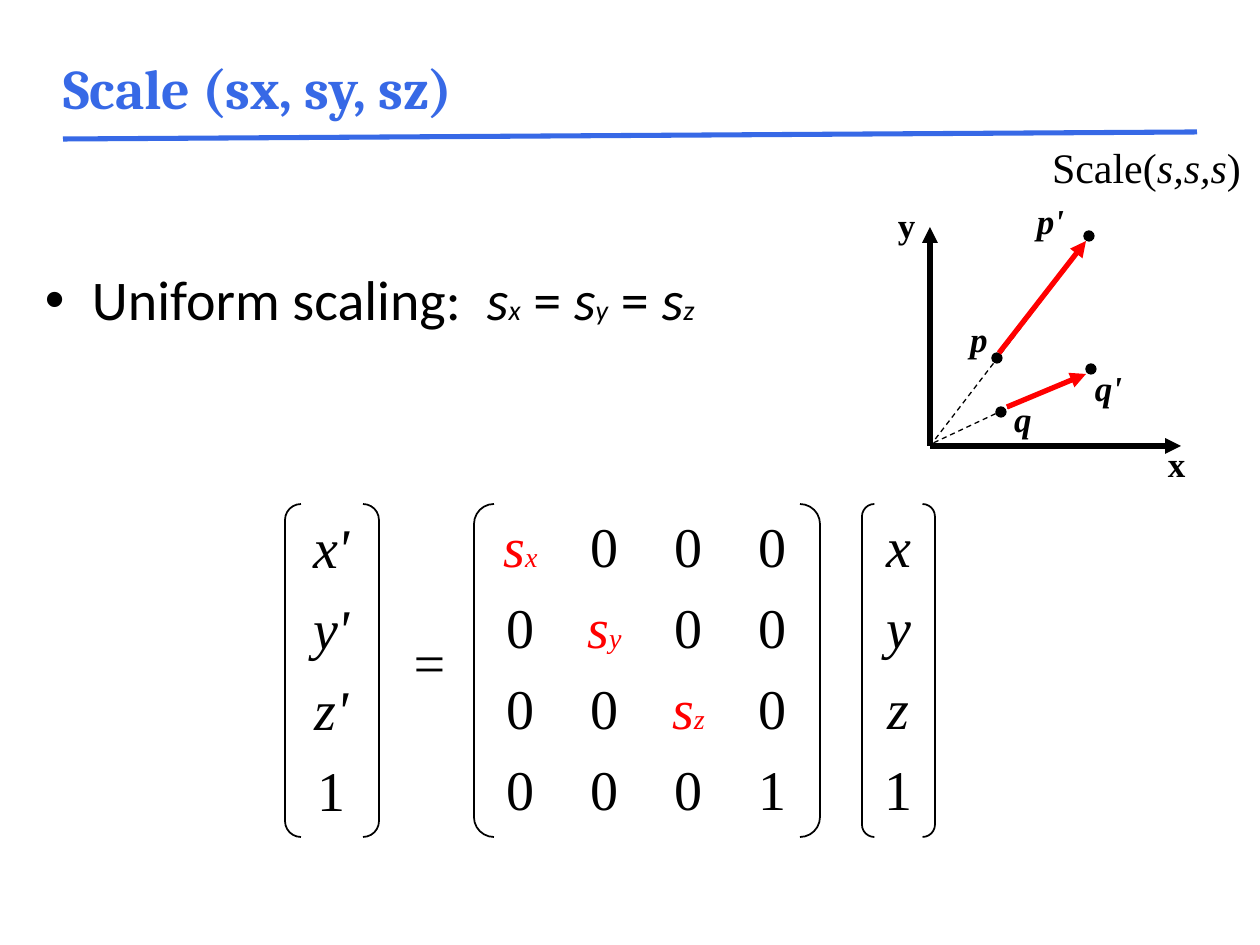
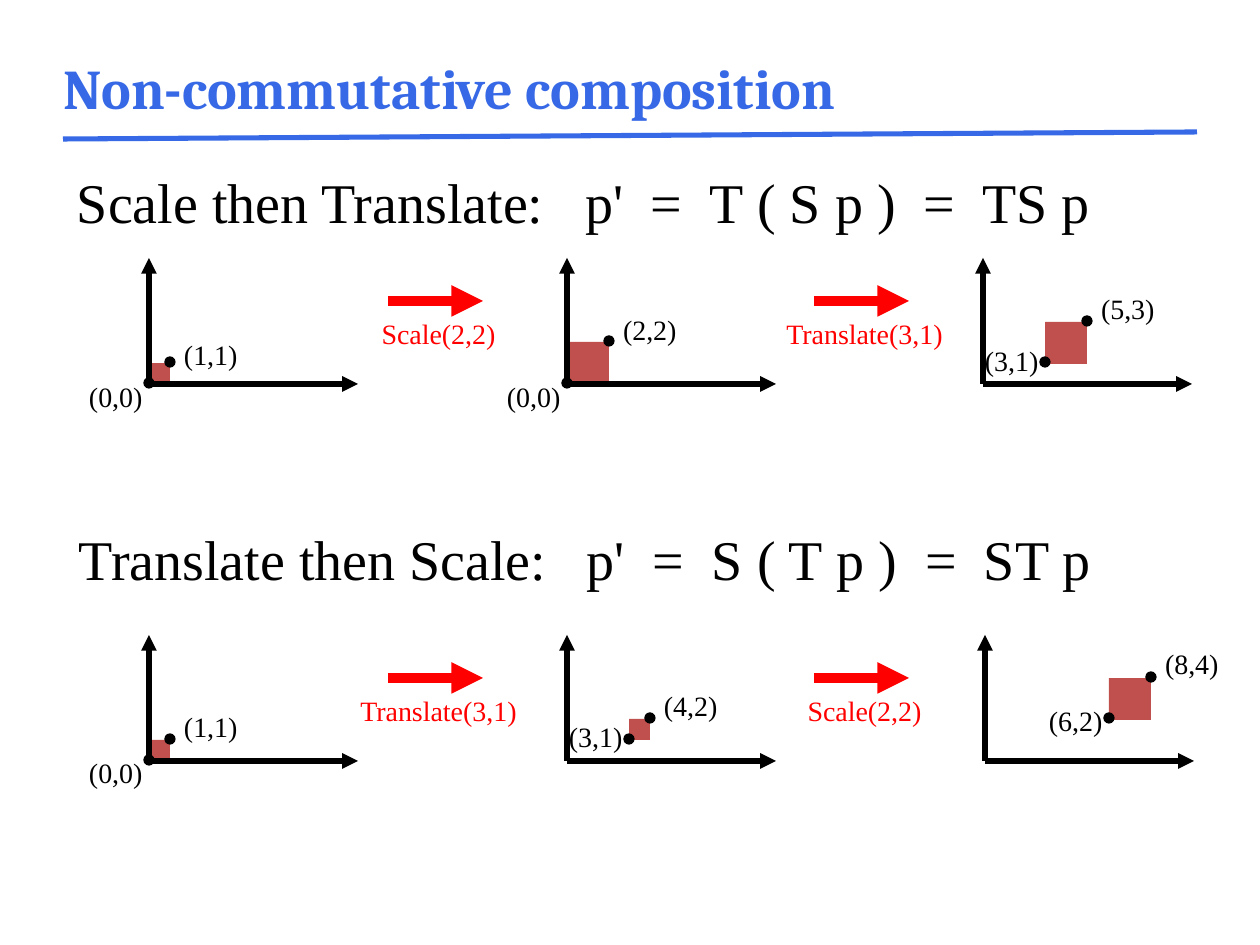
import pptx
import pptx.dml.color
import pptx.enum.dml
import pptx.enum.shapes
import pptx.enum.text
import pptx.oxml.ns
import pptx.util
import lxml.etree

BLUE, BLACK, RED, BRICK = "3769E6", "000000", "FF0000", "C0504D"
SERIF = "Times New Roman"
MID = pptx.enum.text.PP_ALIGN.CENTER
LEFT = pptx.enum.text.PP_ALIGN.LEFT
KIND = pptx.enum.shapes.MSO_SHAPE
UNIT = 20.75
ITAL = {"italic": True}


def px(count):
    return pptx.util.Emu(round(count * 914400 / 126))


def tint(code):
    return pptx.dml.color.RGBColor.from_string(code)


def paint(part, code):
    part.solid()
    part.fore_color.rgb = tint(code)


def node(parent, tag, **attrs):
    return lxml.etree.SubElement(parent, pptx.oxml.ns.qn(tag), attrs)


def style(goal, values):
    for name, value in values.items():
        setattr(goal, name, value)


def add_run(para, text, size=16, color=BLACK, gap=0, **more):
    run = para.add_run()
    run.text = text
    style(run.font, {"name": SERIF, "size": pptx.util.Pt(size), **more})
    run.font.color.rgb = tint(color)
    if gap:
        run.font._element.set("spc", str(gap))


def set_frame(frame, pad=True, **more):
    side, edge = (13, 6) if pad else (0, 0)
    style(frame, {"word_wrap": True,
                  "margin_left": px(side), "margin_right": px(side),
                  "margin_top": px(edge), "margin_bottom": px(edge), **more})


def add_text(slide, box, lines, align=LEFT, pad=True, before=0):
    frame = slide.shapes.add_textbox(*map(px, box)).text_frame
    set_frame(frame, pad)
    for index, runs in enumerate(lines):
        para = frame.add_paragraph() if index else frame.paragraphs[0]
        style(para, {"alignment": align, "space_before": pptx.util.Pt(before)})
        for text, form in runs:
            add_run(para, text, **form)
    return frame.paragraphs[0]


def add_line(slide, start, end, color=BLACK, width=3.0, arrow=True, dash=False):
    wire = slide.shapes.add_connector(
        pptx.enum.shapes.MSO_CONNECTOR.STRAIGHT, *map(px, (*start, *end)))
    wire.line.width = pptx.util.Pt(width)
    paint(wire.line.fill, color)
    if dash:
        wire.line.dash_style = pptx.enum.dml.MSO_LINE.DASH
    props = wire.element.spPr
    if arrow:
        node(props.find(pptx.oxml.ns.qn("a:ln")), "a:tailEnd", type="triangle")
    node(props, "a:effectLst")


def add_mark(slide, kind, box, fill=None, width=0):
    mark = slide.shapes.add_shape(kind, *map(px, box))
    mark.shadow.inherit = False
    if fill:
        paint(mark.fill, fill)
    else:
        mark.fill.background()
    if width:
        paint(mark.line.fill, BLACK)
        mark.line.width = pptx.util.Pt(width)
    else:
        mark.line.fill.background()
    return mark


def add_dot(slide, x, y):
    add_mark(slide, KIND.OVAL, (x - 5, y - 5, 10, 10), BLACK, 0.75)


def add_axes(slide, x, y, wide, high):
    add_line(slide, (x, y), (x, y - high))
    add_line(slide, (x, y), (x + wide, y))


def new_slide(deck, title):
    slide = deck.slides.add_slide(deck.slide_layouts[5])
    add_line(slide, (63, 139), (1197, 132), BLUE, 2.89, arrow=False)
    head = slide.shapes.title
    style(head, {"left": px(63), "top": px(8), "width": px(1071), "height": px(158)})
    set_frame(head.text_frame, pad=False,
              vertical_anchor=pptx.enum.text.MSO_ANCHOR.MIDDLE,
              auto_size=pptx.enum.text.MSO_AUTO_SIZE.NONE)
    para = head.text_frame.paragraphs[0]
    para.alignment = LEFT
    add_run(para, title, 32, BLUE, name="Cambria", bold=True)
    return slide


def add_bullet(slide, box):
    big = {"size": 32, "name": "Calibri"}
    runs = [("Uniform scaling:", big), (" ", {**big, "gap": 720})]
    for index, axis in enumerate("xyz"):
        if index:
            runs.append((" = ", big))
        runs += [("s", {**big, **ITAL}), (axis, {**big, **ITAL, "size": 16})]
    para = add_text(slide, box, [runs], before=6.4)
    props = para._p.get_or_add_pPr()
    props.set("marL", str(px(48)))
    props.set("indent", str(-px(47)))
    node(props, "a:buFont", typeface="Arial")
    node(props, "a:buChar", char="•")


def add_graph(slide, x, y):
    for tip, foot in (((146, -190), (0, 0)), ((131, -63), (-1, -1))):
        add_line(slide, (x + tip[0], y + tip[1]), (x + foot[0], y + foot[1]),
                 width=0.75, arrow=False, dash=True)
    for dx, dy in ((67, -88), (159, -210), (71, -34), (161, -77)):
        add_dot(slide, x + dx, y + dy)
    add_axes(slide, x, y, 251, 219)
    for start, end in (((69, -93), (156, -205)), ((77, -39), (156, -72))):
        add_line(slide, (x + start[0], y + start[1]), (x + end[0], y + end[1]), RED)
    for text, dx, dy, wide, slant in (
            ("x", 225, -10, 42, False), ("y", -45, -249, 42, False),
            ("p", 27, -135, 42, True), ("p'", 94, -253, 63, True),
            ("q", 71, -55, 42, True), ("q'", 152, -86, 66, True)):
        form = {"size": 20, "bold": True, "italic": slant}
        add_text(slide, (x + dx, y + dy, wide, 54), [[(text, form)]])
    form = {"size": 24}
    add_text(slide, (x + 109, y - 310, 218, 63),
             [[("Scale(", form), ("s,s,s", {**form, **ITAL}), (")", form)]])


def add_pair(slide, box, curve):
    add_mark(slide, KIND.DOUBLE_BRACKET, box, width=1).adjustments[0] = curve


def add_col(slide, x, y, cells):
    add_text(slide, (x, y, 73, 310), cells, MID, pad=False, before=7.7)


def add_matrix(slide, x, y):
    add_pair(slide, (x, y, 94, 333), 0.17)
    add_pair(slide, (x + 189, y, 346, 333), 0.06)
    add_pair(slide, (x + 577, y, 73, 333), 0.17)
    plain, slant = {"size": 32}, {"size": 32, **ITAL}
    for dx, dy, names in ((10, 9, ("x'", "y'", "z'")), (577, 8, "xyz")):
        cells = [[(name, slant)] for name in names]
        add_col(slide, x + dx, y + dy, cells + [[("1", plain)]])
    add_text(slide, (x + 126, y + 123, 42, 67), [[("=", slant)]], pad=False, before=7.7)
    for col, axis in enumerate(("x", "y", "z", "")):
        cells = [[("0", plain)] for _ in range(4)]
        cells[col] = [("s", {**slant, "color": RED}),
                      (axis, {**ITAL, "color": RED})] if axis else [("1", plain)]
        add_col(slide, x + 199 + 84 * col, y + 8, cells)


def add_plot(slide, x, y, low, high, drops):
    points = [(x + round(UNIT * a), y - round(UNIT * b)) for a, b in (low, high)]
    side = round(UNIT * (high[0] - low[0]))
    add_mark(slide, KIND.RECTANGLE, (points[0][0], points[1][1], side, side), BRICK)
    for left, top in points:
        add_dot(slide, left, top - 1)
    add_axes(slide, x, y, 209, 126)
    for (left, top), pair, shift, drop in zip(points, (low, high), (-73, 1), drops):
        label = f"({pair[0]},{pair[1]})"
        add_text(slide, (left + shift, top + drop, 81, 47), [[(label, {})]])


def add_row(slide, x, y, plots, steps):
    for shift, *plot in plots:
        add_plot(slide, x + shift, y, *plot)
    for index, step in enumerate(steps):
        left = x + 239 + 426 * index
        add_text(slide, (left - 48, y - 73, 197, 47), [[(step, {"color": RED})]], MID)
        add_line(slide, (left, y - 83), (left + 95, y - 83), RED, 6)


def add_rule(slide, x, y, parts):
    para = add_text(slide, (x, y, 1080, 79), [[("\t".join(parts), {"size": 32})]])
    tabs = node(para._p.get_or_add_pPr(), "a:tabLst")
    for stop in (508, 574, 633, 847, 905):
        node(tabs, "a:tab", pos=str(px(stop)), algn="l")


def main():
    deck = pptx.Presentation()
    style(deck, {"slide_width": px(1260), "slide_height": px(945)})

    slide = new_slide(deck, "Scale (sx, sy, sz)")
    add_bullet(slide, (31, 259, 882, 88))
    add_matrix(slide, 285, 504)
    add_graph(slide, 930, 446)

    slide = new_slide(deck, "Non-commutative composition")
    scale, move = "Scale(2,2)", "Translate(3,1)"
    add_rule(slide, 64, 161, ("Scale then Translate:", "p'", "=", "T ( S p )", "=", "TS p"))
    add_row(slide, 149, 384, ((0, (0, 0), (1, 1), (-10, -32)),
                              (418, (0, 0), (2, 2), (-10, -36)),
                              (834, (3, 1), (5, 3), (-25, -36))), (scale, move))
    add_rule(slide, 66, 519, ("Translate then Scale:", "p'", "=", "S ( T p )", "=", "ST p"))
    add_row(slide, 149, 761, ((0, (0, 0), (1, 1), (-11, -36)),
                              (418, (3, 1), (4, 2), (-26, -36)),
                              (836, (6, 2), (8, 4), (-21, -37))), (move, scale))
    deck.save("out.pptx")


if __name__ == "__main__":
    main()
